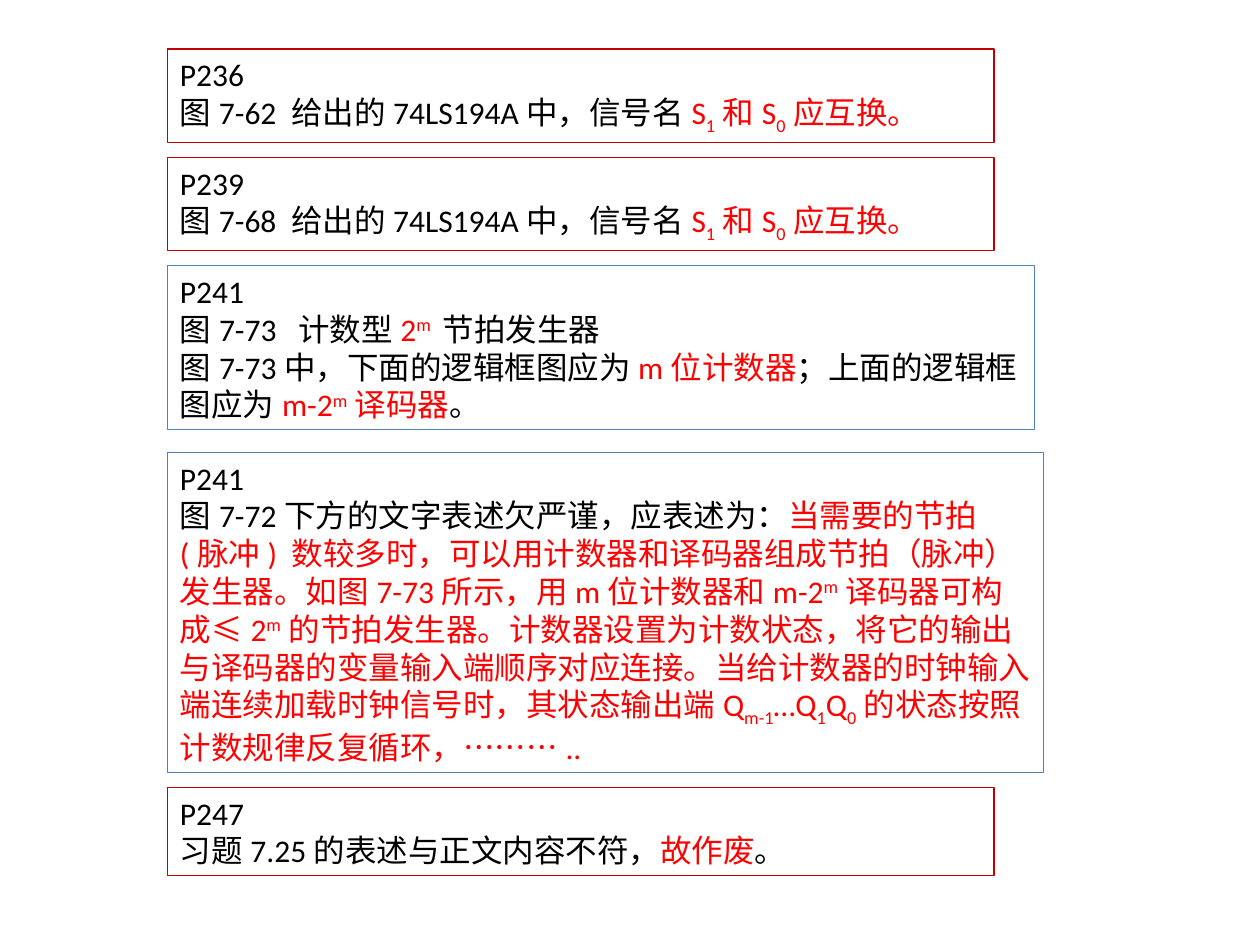
from lxml.etree import SubElement
from pptx import Presentation
from pptx.dml.color import RGBColor
from pptx.enum.lang import MSO_LANGUAGE_ID
from pptx.enum.text import MSO_AUTO_SIZE
from pptx.oxml.ns import qn
from pptx.util import Inches, Pt

LATIN, CJK = "Calibri", "Noto Sans CJK SC"
CRIMSON, BLUE = "C00000", "4F81BD"
STYLES = {
    "plain": ("000000", 0, LATIN),
    "red": ("FF0000", 0, LATIN),
    "sub": ("FF0000", -25, LATIN),
    "sup": ("FF0000", 30, LATIN),
    "sign": ("FF0000", 0, CJK),
}
LEFT = 1.33


def swap_note(figure):
    return [
        (f"图{figure} 给出的74LS194A中，信号名", "plain"),
        ("S", "red"), ("1", "sub"), ("和S", "red"), ("0", "sub"),
        ("应互换。", "red"),
    ]


ERRATA = [
    ("P236", 0.39, 6.56, 0.74, CRIMSON, [swap_note("7-62")]),
    ("P239", 1.25, 6.56, 0.74, CRIMSON, [swap_note("7-68")]),
    ("P241", 2.11, 6.88, 1.3, BLUE, [
        [("图7-73  计数型", "plain"), ("2", "red"), ("m ", "sup"),
         ("节拍发生器", "plain")],
        [("图7-73中，下面的逻辑框图应为", "plain"), ("m位计数器", "red"),
         ("；上面的逻辑框图应为", "plain"), ("m-2", "red"), ("m", "sup"),
         ("译码器", "red"), ("。", "plain")],
    ]),
    ("P241", 3.59, 6.95, 2.54, BLUE, [
        [("图7-72下方的文字表述欠严谨，应表述为：", "plain"),
         ("当需要的节拍(脉冲) 数较多时，可以用计数器和译码器组成节拍（脉冲）"
          "发生器。如图7-73所示，用m位计数器和m-2", "red"),
         ("m", "sup"), ("译码器可构成", "red"), ("≤", "sign"),
         ("2", "red"), ("m", "sup"),
         ("的节拍发生器。计数器设置为计数状态，将它的输出与译码器的变量输入端"
          "顺序对应连接。当给计数器的时钟输入端连续加载时钟信号时，"
          "其状态输出端Q", "red"),
         ("m-1", "sub"), ("…Q", "red"), ("1", "sub"), ("Q", "red"),
         ("0", "sub"), ("的状态按照计数规律反复循环，………..", "red")],
    ]),
    ("P247", 6.25, 6.56, 0.7, CRIMSON, [
        [("习题7.25的表述与正文内容不符，", "plain"), ("故作废", "red"),
         ("。", "plain")],
    ]),
]


def color(value):
    return RGBColor.from_string(value)


def add_run(p, text, style):
    hue, baseline, face = STYLES[style]
    r = p.add_run()
    r.text = text
    r.font.color.rgb = color(hue)
    formats = {"size": Pt(18), "name": face,
               "language_id": MSO_LANGUAGE_ID.SIMPLIFIED_CHINESE}
    for name, value in formats.items():
        setattr(r.font, name, value)
    props = r._r.get_or_add_rPr()
    SubElement(props, qn("a:ea")).set("typeface", CJK)
    if baseline:
        props.set("baseline", str(baseline * 1000))


def add_erratum(s, page, top, width, height, border, notes):
    sp = s.shapes.add_textbox(Inches(LEFT), Inches(top), Inches(width), Inches(height))
    sp.line.color.rgb = color(border)
    sp.line.width = Pt(0.75)
    tf = sp.text_frame
    tf.word_wrap = True
    tf.auto_size = MSO_AUTO_SIZE.SHAPE_TO_FIT_TEXT
    add_run(tf.paragraphs[0], page, "plain")
    for note in notes:
        p = tf.add_paragraph()
        for text, style in note:
            add_run(p, text, style)


def main():
    prs = Presentation()
    prs.slide_width, prs.slide_height = Inches(10), Inches(7.5)
    s = prs.slides.add_slide(prs.slide_layouts[6])
    for erratum in ERRATA:
        add_erratum(s, *erratum)
    prs.save("out.pptx")


if __name__ == "__main__":
    main()
